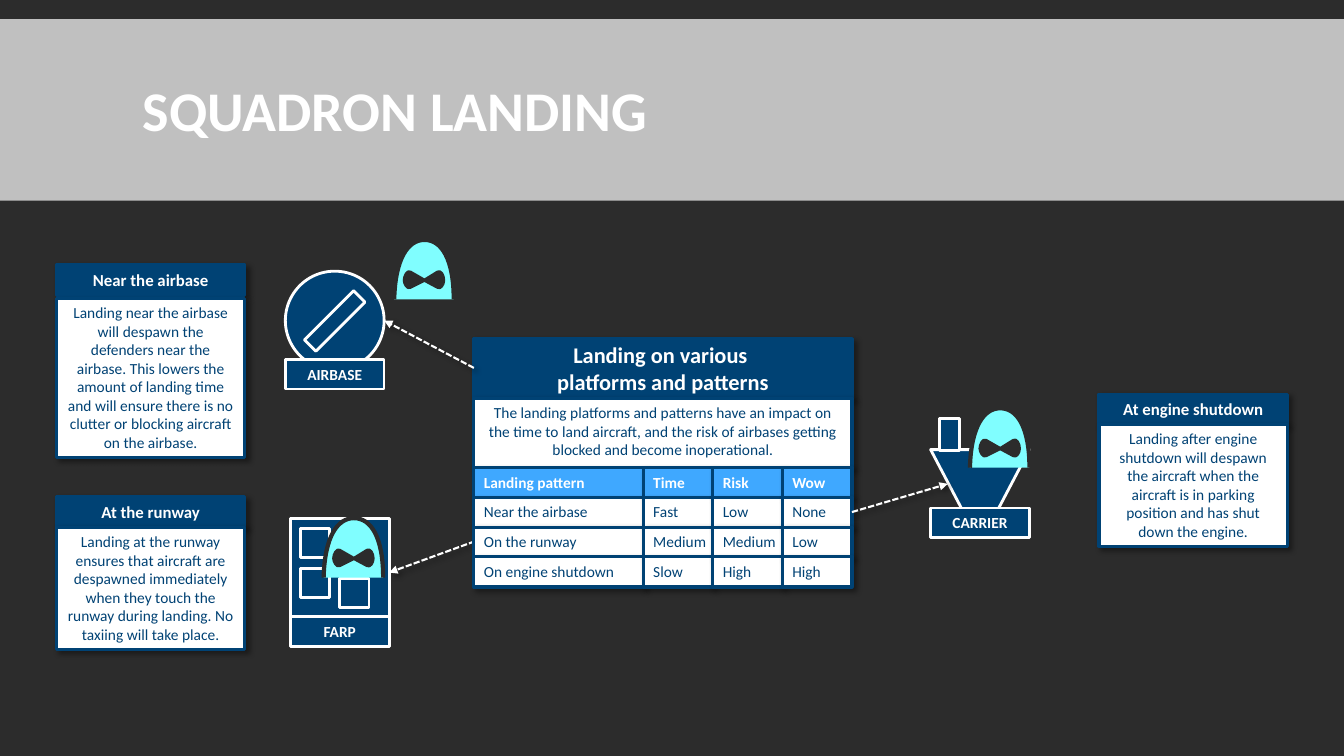
from pptx import Presentation
from pptx.dml.color import RGBColor
from pptx.enum import dml, shapes as sh, text as tx
from pptx.oxml import parse_xml
from pptx.oxml.ns import nsdecls, qn
from pptx.util import Inches, Pt

DARK = RGBColor(0x2C, 0x2C, 0x2C)
NAVY = RGBColor(0x00, 0x42, 0x74)
SKY = RGBColor(0x3F, 0xA8, 0xFF)
CYAN = RGBColor(0x80, 0xFE, 0xFF)
WHITE = RGBColor(0xFF, 0xFF, 0xFF)
FONT = "Calibri"
RECT = sh.MSO_SHAPE.RECTANGLE
MID, LEFT = tx.PP_ALIGN.CENTER, tx.PP_ALIGN.LEFT
GROW = tx.MSO_AUTO_SIZE.SHAPE_TO_FIT_TEXT

TITLE = "SQUADRON LANDING"
HEAD = ["Landing on various ", "platforms and patterns"]
INTRO = ("The landing platforms and patterns have an impact on the time to land "
         "aircraft, and the risk of airbases getting blocked and become inoperational.")
ROWS = [
    ("Landing pattern", "Time", "Risk", "Wow"),
    ("Near the airbase", "Fast", "Low", "None"),
    ("On the runway", "Medium", "Medium", "Low"),
    ("On engine shutdown", "Slow", "High", "High"),
]
COLS = [1.68, 0.69, 0.69, 0.69]
PITCH, ROW_H = 0.295, 0.3
# left, top of heading, top of body, height of body, heading, body
NOTES = [
    (0.56, 2.63, 2.96, 1.58, "Near the airbase",
     "Landing near the airbase will despawn the defenders near the airbase. "
     "This lowers the amount of landing time and will ensure there is no "
     "clutter or blocking aircraft on the airbase."),
    (0.56, 4.93, 5.23, 1.21, "At the runway",
     "Landing at the runway ensures that aircraft are despawned immediately "
     "when they touch the runway during landing. No taxiing will take place."),
    (10.9, 3.91, 4.21, 1.21, "At engine shutdown",
     "Landing after engine shutdown will despawn the aircraft when the aircraft "
     "is in parking position and has shut down the engine."),
]
ARROWS = [(4.7, 3.65, 3.81, 3.18), (4.71, 5.37, 3.86, 5.68), (8.45, 5.08, 9.4, 4.8)]
PADS = [(2.98, 5.24), (2.98, 5.64), (3.38, 5.34), (3.37, 5.74)]
MASKS = [(3.91, 2.38), (9.62, 4.05), (3.21, 5.14)]
# One point is a straight step, three points are a curve
HOOD = [((0, 0.59),), ((0.01, 0.18), (0.14, 0), (0.3, 0)),
        ((0.47, 0), (0.59, 0.19), (0.59, 0.59))]
EYES = [((0.43, 0.32),), ((0.46, 0.3), (0.49, 0.35), (0.49, 0.4)),
        ((0.49, 0.44), (0.46, 0.49), (0.43, 0.47)), ((0.3, 0.4),), ((0.16, 0.47),),
        ((0.13, 0.49), (0.1, 0.43), (0.1, 0.4)),
        ((0.1, 0.36), (0.13, 0.3), (0.16, 0.32)), ((0.3, 0.4),), ((0.43, 0.32),)]


def write(frame, lines, size, color, bold=False, align=MID):
    para = frame.paragraphs[0]
    para.alignment = align
    for i, line in enumerate(lines):
        if i:
            para.add_line_break()
        run = para.add_run()
        run.text = line
        font = run.font
        font.name, font.size, font.bold = FONT, Pt(size), bold
        font.color.rgb = color
    return para


def shade(item):
    """Give a soft shadow to the lower right."""
    props = item._element.spPr
    for old in props.findall(qn("a:effectLst")):
        props.remove(old)
    props.append(parse_xml(
        f'<a:effectLst {nsdecls("a")}><a:outerShdw blurRad="{Pt(4)}" dist="{Pt(3)}" '
        'dir="2700000" algn="tl" rotWithShape="0"><a:srgbClr val="000000">'
        '<a:alpha val="40000"/></a:srgbClr></a:outerShdw></a:effectLst>'))


def paint(item, fill, line, width):
    item.shadow.inherit = False
    item.fill.solid()
    item.fill.fore_color.rgb = fill
    item.line.color.rgb = line
    item.line.width = Pt(width)


def block(to, at, kind=RECT, fill=NAVY, line=WHITE, width=2):
    item = to.add_shape(kind, *map(Inches, at))
    paint(item, fill, line, width)
    item.text_frame.vertical_anchor = tx.MSO_ANCHOR.TOP
    return item


def panel(to, at, fill, lines, size, color, bold=False, align=MID, wrap=True):
    """Draw a framed text box with a shadow and return its text frame."""
    item = block(to, at, fill=fill, line=NAVY, width=2.25)
    shade(item)
    item.text_frame.word_wrap = wrap
    write(item.text_frame, lines, size, color, bold, align)
    return item.text_frame


def label(to, x, y, name):
    frame = block(to, (x, y, 0.98, 0.29)).text_frame
    frame.word_wrap = True
    frame.auto_size = GROW
    write(frame, [name], 11, WHITE, True)


def trace(to, x, y, path, fill, width, close):
    """Draw an outline of straight steps and curves."""
    dots = [(Inches(x + a), Inches(y + b)) for step in path for a, b in step]
    pen = to.build_freeform(*dots[0])
    pen.add_line_segments(dots[1:], close=close)
    item = pen.convert_to_shape()
    steps = iter(list(item._element.iter(qn("a:lnTo"))))
    for step in path[1:]:
        nodes = [next(steps) for _ in step]
        if len(nodes) == 3:
            curve = parse_xml(f'<a:cubicBezTo {nsdecls("a")}/>')
            nodes[0].addprevious(curve)
            for node in nodes:
                curve.append(node[0])
                node.getparent().remove(node)
    paint(item, fill, DARK, width)


def arrow(to, ends):
    item = to.add_connector(sh.MSO_CONNECTOR.STRAIGHT, *map(Inches, ends))
    item.line.color.rgb = WHITE
    item.line.width = Pt(1.5)
    item.line.dash_style = dml.MSO_LINE.SQUARE_DOT
    item.line._get_or_add_ln().append(
        parse_xml(f'<a:tailEnd {nsdecls("a")} type="triangle"/>'))
    shade(item)


def grid(to, x, y):
    for c, wide in enumerate(COLS):
        for r, row in enumerate(ROWS):
            at = (x + sum(COLS[:c]), y + r * PITCH, wide, ROW_H)
            fill, color = (WHITE, NAVY) if r else (SKY, WHITE)
            panel(to, at, fill, [row[c]], 11, color, not r, LEFT, False)


def main():
    deck = Presentation()
    deck.slide_width, deck.slide_height = Inches(13.33), Inches(7.5)
    slide = deck.slides.add_slide(deck.slide_layouts[6])
    slide.background.fill.solid()
    slide.background.fill.fore_color.rgb = DARK
    top = slide.shapes

    band = block(top, (0, 0.19, 13.33, 1.8), fill=WHITE)
    band.line.fill.background()
    tint = band._element.spPr.find(qn("a:solidFill"))[0]
    tint.append(parse_xml(f'<a:alpha {nsdecls("a")} val="70000"/>'))
    title = top.add_textbox(*map(Inches, (1.32, 0.31, 10.7, 1.65))).text_frame
    title.word_wrap = True
    title.vertical_anchor = tx.MSO_ANCHOR.MIDDLE
    write(title, [TITLE], 40, WHITE, True, LEFT).line_spacing = 0.85

    head = panel(top, (4.7, 3.36, 3.75, 0.59), NAVY, HEAD, 16, WHITE, True, wrap=False)
    head.vertical_anchor = tx.MSO_ANCHOR.MIDDLE
    for ends in ARROWS[:2]:
        arrow(top, ends)

    farp = top.add_group_shape().shapes
    block(farp, (2.88, 5.14, 0.98, 1.08))
    label(farp, 2.88, 6.12, "FARP")
    for x, y in PADS:
        block(farp, (x, y, 0.29, 0.29))

    ship = top.add_group_shape().shapes
    hull = block(ship, (9.23, 4.46, 0.98, 0.68), sh.MSO_SHAPE.TRAPEZOID)
    hull.adjustments[0] = 0.525
    hull.rotation = 180
    label(ship, 9.23, 5.04, "CARRIER")
    block(ship, (9.32, 4.15, 0.2, 0.32))

    base = top.add_group_shape().shapes
    block(base, (2.83, 2.69, 0.98, 0.98), sh.MSO_SHAPE.OVAL)
    label(base, 2.83, 3.57, "AIRBASE")
    block(base, (3.24, 2.84, 0.16, 0.69)).rotation = 45

    for x, y in MASKS:
        mask = top.add_group_shape().shapes
        trace(mask, x, y, HOOD, CYAN, 3, False)
        trace(mask, x, y, EYES, DARK, 2.25, True)

    panel(top, (4.7, 3.95, 3.75, 0.69), WHITE, [INTRO], 11, NAVY)
    grid(top, 4.7, 4.64)
    arrow(top, ARROWS[2])
    for x, y, low, high, name, body in NOTES:
        panel(top, (x, y, 1.87, 0.3), NAVY, [name], 12, WHITE, True)
        panel(top, (x, low, 1.87, high), WHITE, [body], 11, NAVY).auto_size = GROW
    deck.save("out.pptx")


if __name__ == "__main__":
    main()
